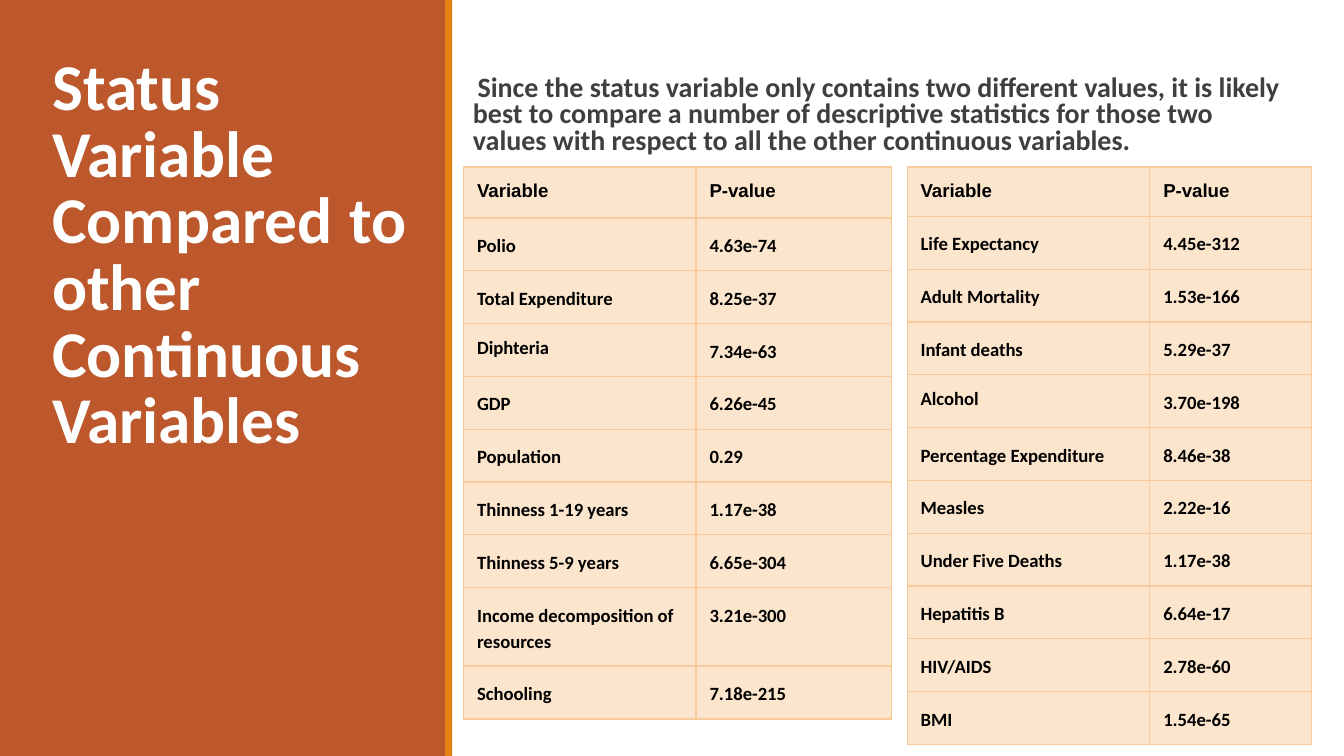
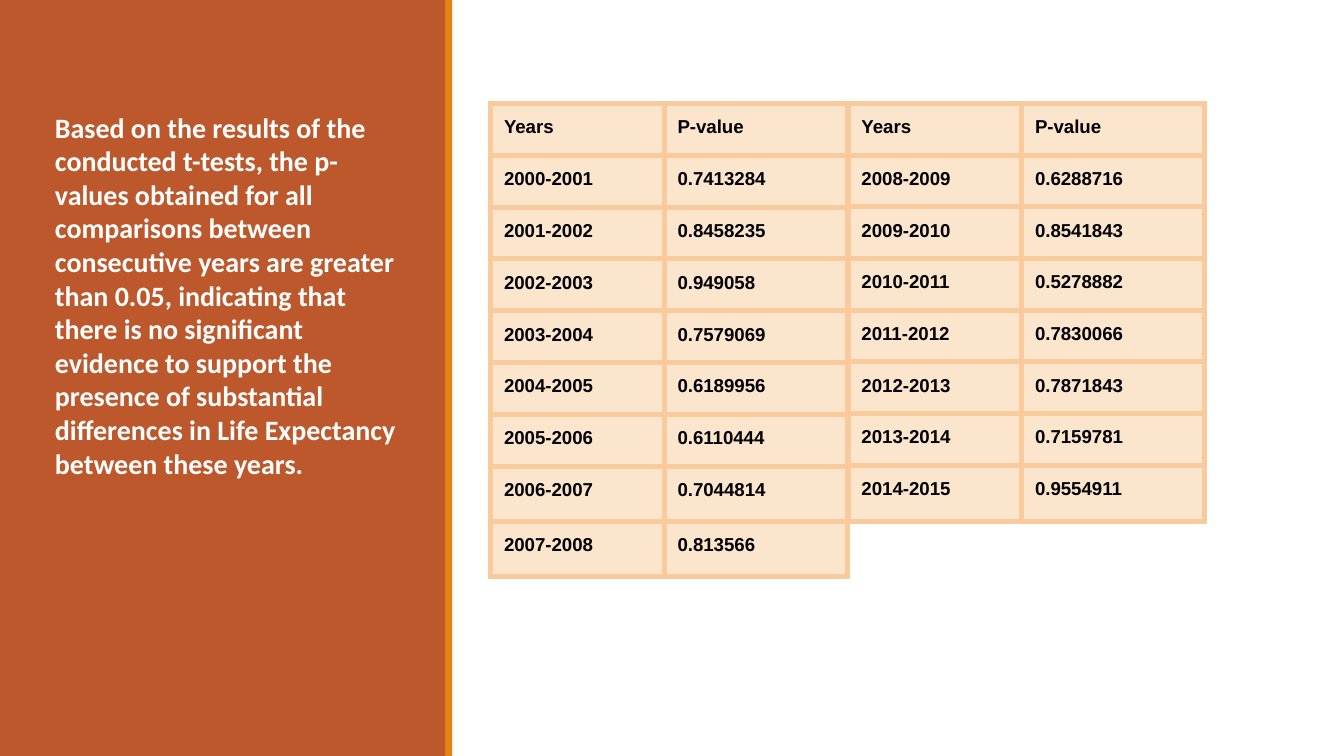
from lxml import etree
from pptx import Presentation
from pptx.dml.color import RGBColor
from pptx.enum.shapes import MSO_SHAPE
from pptx.enum.text import MSO_ANCHOR, PP_ALIGN
from pptx.oxml.ns import qn
from pptx.util import Pt

RECT = MSO_SHAPE.RECTANGLE
BOTTOM = MSO_ANCHOR.BOTTOM
TOP = MSO_ANCHOR.TOP
JUSTIFY = PP_ALIGN.JUSTIFY

RUST = RGBColor(0xBD, 0x58, 0x2C)
ORANGE = RGBColor(0xE4, 0x83, 0x12)
PEACH = RGBColor(0xFC, 0xE5, 0xCD)
EDGE = RGBColor(0xF9, 0xCB, 0x9C)
GREY = RGBColor(0x3F, 0x3F, 0x3F)
WHITE = RGBColor(0xFF, 0xFF, 0xFF)
BLACK = RGBColor(0, 0, 0)

WIDTH, HEIGHT = 720, 405
BANDS = [(0, 239, RUST), (238.5, 3.75, ORANGE)]
PAD = 7.2
SINGLE = {"Diphteria", "Alcohol"}  # cells without the wider line spacing

TITLE = "Status Variable Compared to other Continuous Variables"
INTRO = (
    "Since the status variable only contains two different values, it is likely "
    "best to compare a number of descriptive statistics for those two values "
    "with respect to all the other continuous variables."
)
RESULT = (
    "Based on the results of the conducted t-tests, the p-values obtained for all "
    "comparisons between consecutive years are greater than 0.05, indicating that "
    "there is no significant evidence to support the presence of substantial "
    "differences in Life Expectancy between these years."
)

HEALTH = [
    ("Life Expectancy", "4.45e-312"),
    ("Adult Mortality", "1.53e-166"),
    ("Infant deaths", "5.29e-37"),
    ("Alcohol", "3.70e-198"),
    ("Percentage Expenditure", "8.46e-38"),
    ("Measles", "2.22e-16"),
    ("Under Five Deaths", "1.17e-38"),
    ("Hepatitis B", "6.64e-17"),
    ("HIV/AIDS", "2.78e-60"),
    ("BMI", "1.54e-65"),
]
SOCIAL = [
    ("Polio", "4.63e-74"),
    ("Total Expenditure", "8.25e-37"),
    ("Diphteria", "7.34e-63"),
    ("GDP", "6.26e-45"),
    ("Population", "0.29"),
    ("Thinness 1-19 years", "1.17e-38"),
    ("Thinness 5-9 years", "6.65e-304"),
    ("Income decomposition of resources", "3.21e-300"),
    ("Schooling", "7.18e-215"),
]
EARLY = ["0.7413284", "0.8458235", "0.949058", "0.7579069",
         "0.6189956", "0.6110444", "0.7044814", "0.813566"]
LATE = ["0.6288716", "0.8541843", "0.5278882", "0.7830066",
        "0.7871843", "0.7159781", "0.9554911"]


def by_year(start, values):
    """Pair each value with its span of two years."""
    return [(f"{year}-{year + 1}", val) for year, val in enumerate(values, start)]


def set_font(para, size, color, name="Calibri"):
    font = para.font
    font.name, font.size, font.bold = name, Pt(size), True
    font.color.rgb = color


def add_bands(slide):
    """Draw the side bands behind all else on the slide."""
    for spot, (left, width, color) in enumerate(BANDS, 2):
        band = slide.shapes.add_shape(RECT, Pt(left), 0, Pt(width), Pt(HEIGHT))
        band.shadow.inherit = False
        band.fill.solid()
        band.fill.fore_color.rgb = color
        band.line.fill.background()
        slide.shapes.element.insert(spot, band.element)


def fill_text(shape, text, size, color, side, anchor=TOP):
    frame = shape.text_frame
    frame.word_wrap = True
    frame.vertical_anchor = anchor
    frame.margin_left = frame.margin_right = Pt(side)
    frame.margin_top = frame.margin_bottom = Pt(3)
    para = frame.paragraphs[0]
    para.text = text
    set_font(para, size, color)
    return para


def add_title(slide, text, left, top, width, height):
    title = slide.shapes.title
    title.left, title.top = Pt(left), Pt(top)
    title.width, title.height = Pt(width), Pt(height)
    para = fill_text(title, text, 35, WHITE, 5, BOTTOM)
    para.alignment = JUSTIFY
    para.line_spacing = 0.85


def add_text(slide, text, left, top, width, height, color, side):
    box = slide.shapes.add_textbox(Pt(left), Pt(top), Pt(width), Pt(height))
    return fill_text(box, text, 15, color, side)


def add_bullet(para):
    """Give the paragraph a blank bullet with a hanging indent."""
    props = para._p.get_or_add_pPr()
    props.set("marL", str(Pt(5)))
    props.set("indent", str(-Pt(7.2)))
    tint = etree.SubElement(props, qn("a:buClr"))
    etree.SubElement(tint, qn("a:srgbClr"), val=str(ORANGE))
    etree.SubElement(props, qn("a:buChar"), char=" ")


def add_edges(cell, weight):
    props = cell._tc.get_or_add_tcPr()
    for tag in ("a:lnL", "a:lnR", "a:lnT", "a:lnB"):
        line = etree.SubElement(props, qn(tag), w=str(Pt(weight)))
        fill = etree.SubElement(line, qn("a:solidFill"))
        etree.SubElement(fill, qn("a:srgbClr"), val=str(EDGE))


def fill_cell(cell, text, font, space, weight):
    add_edges(cell, weight)
    cell.fill.solid()
    cell.fill.fore_color.rgb = PEACH
    cell.margin_left = cell.margin_right = Pt(PAD)
    cell.margin_top = cell.margin_bottom = Pt(PAD)
    para = cell.text_frame.paragraphs[0]
    para.text = text
    if space and text not in SINGLE:
        para.line_spacing = space
    set_font(para, 10, BLACK, font)


def add_grid(slide, left, top, cols, highs, head, pairs, weight,
             font="Arial", space=None):
    """Add a two-column table with a header row above the pairs."""
    rows = [(head, "P-value")] + pairs
    frame = slide.shapes.add_table(len(rows), len(cols), Pt(left), Pt(top),
                                   Pt(sum(cols)), Pt(sum(highs)))
    table = frame.table
    table.first_row = table.horz_banding = False
    for col, width in zip(table.columns, cols):
        col.width = Pt(width)
    for num, (row, high, texts) in enumerate(zip(table.rows, highs, rows)):
        row.height = Pt(high)
        for cell, text in zip(row.cells, texts):
            if num:
                fill_cell(cell, text, font, space, weight)
            else:
                fill_cell(cell, text, "Arial", None, weight)


def add_status(deck):
    slide = deck.slides.add_slide(deck.slide_layouts[5])
    add_bands(slide)
    add_title(slide, TITLE, 23, 62, 200, 186)
    add_bullet_text = add_text(slide, INTRO, 248.4, 37.5, 438, 51, GREY, 0)
    add_bullet_text.line_spacing = 0.8
    add_bullet(add_bullet_text)
    add_grid(slide, 486, 89.5, (130, 86.5), [26] + [28.3] * 10,
             "Variable", HEALTH, 0.75, "Calibri", 1.15)
    add_grid(slide, 248.4, 89.5, (124.5, 104.5),
             [27.3] + [28.3] * 7 + [42, 28.3],
             "Variable", SOCIAL, 0.75, "Calibri", 1.15)


def add_years(deck):
    slide = deck.slides.add_slide(deck.slide_layouts[6])
    add_bands(slide)
    add_text(slide, RESULT, 24.5, 56, 196, 224, WHITE, 5)
    cols = (93, 98)
    add_grid(slide, 262.8, 55.4, cols, [27.8] * 7 + [29.6] * 2,
             "Years", by_year(2000, EARLY), 3)
    add_grid(slide, 454.3, 55.4, cols, [27.7] * 7 + [30.3],
             "Years", by_year(2008, LATE), 3)


def main():
    deck = Presentation()
    deck.slide_width, deck.slide_height = Pt(WIDTH), Pt(HEIGHT)
    add_status(deck)
    add_years(deck)
    deck.save("out.pptx")


if __name__ == "__main__":
    main()
